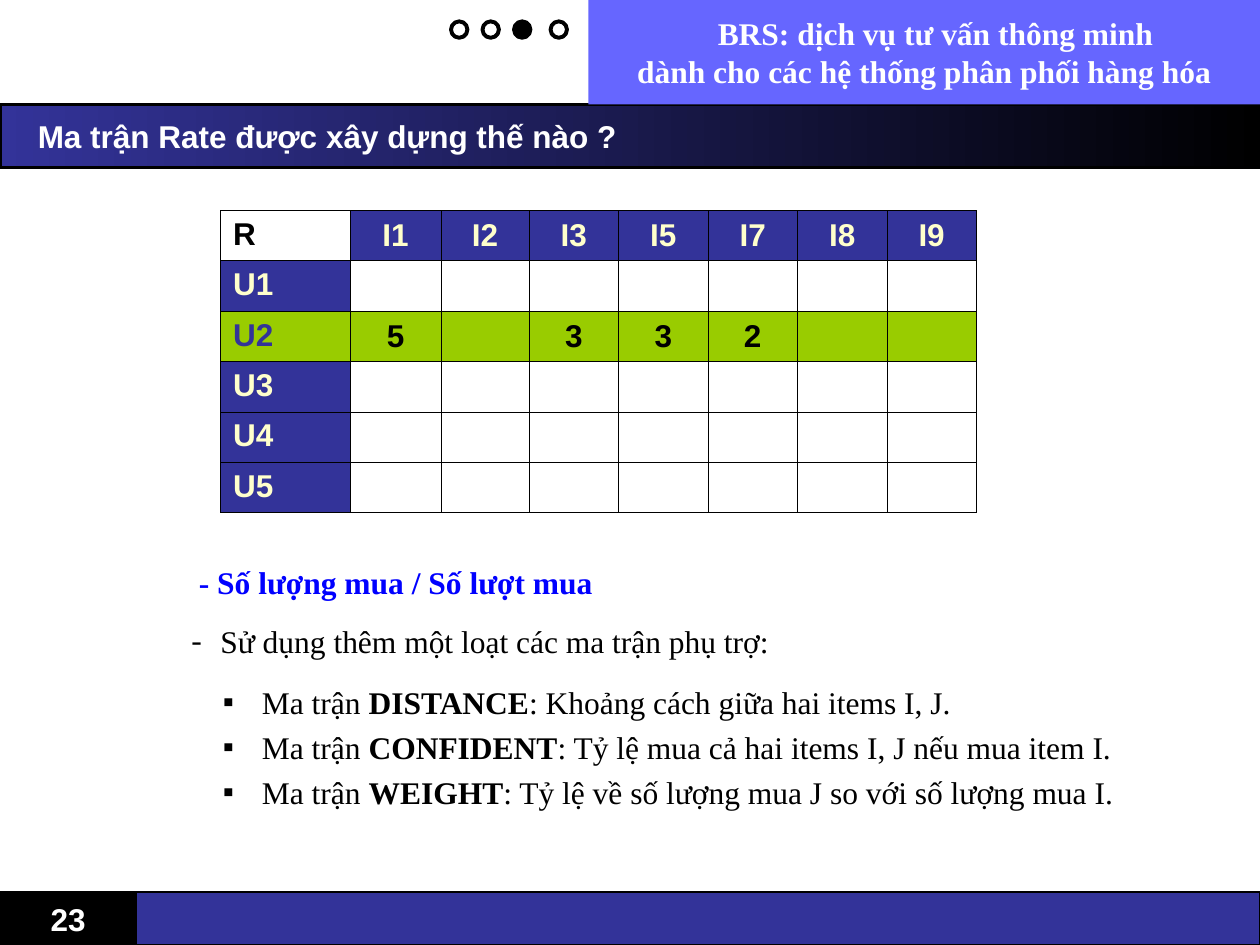
from dataclasses import dataclass
from typing import Optional

from lxml.etree import SubElement
from pptx import Presentation
from pptx.dml.color import RGBColor
from pptx.enum.shapes import MSO_SHAPE
from pptx.enum.text import MSO_ANCHOR, MSO_AUTO_SIZE, PP_ALIGN
from pptx.oxml.ns import qn
from pptx.util import Inches, Pt


@dataclass(frozen=True)
class Theme:
    black: str = "000000"
    white: str = "FFFFFF"
    navy: str = "333399"
    violet: str = "6666FF"
    cream: str = "FFFFCC"
    green: str = "99CC00"
    blue: str = "0000FF"
    sans: str = "Arial"
    serif: str = "Times New Roman"
    size: int = 18
    thin: float = 0.75
    thick: float = 2.25
    grid: float = 0.45


@dataclass(frozen=True)
class Item:
    """A bulleted line whose middle part is bold."""
    lead: str
    term: str = ""
    rest: str = ""
    bullet: str = "▪"
    margin: float = 0.56
    hang: float = 0.31
    spacing: float = 1.2


T = Theme()
COLUMNS = ["I1", "I2", "I3", "I5", "I7", "I8", "I9"]
USERS = ["U1", "U2", "U3", "U4", "U5"]
RATED_USER = "U2"
RATINGS = {"I1": "5", "I3": "3", "I5": "3", "I7": "2"}
COLUMN_WIDTHS = [1.03, 0.72, 0.7] + [0.71] * 5
ROW_HEIGHT = 0.4
DOT_LEFTS = [3.58, 3.83, 4.08, 4.37]
CURRENT_DOT = 2
ITEMS = [
    Item("Sử dụng thêm một loạt các ma trận phụ trợ:", bullet="-", margin=0.23, hang=0.23),
    Item("Ma trận ", "DISTANCE", ": Khoảng cách giữa hai items I, J.", spacing=1.6),
    Item("Ma trận ", "CONFIDENT", ": Tỷ lệ mua cả hai items I, J nếu mua item I."),
    Item("Ma trận ", "WEIGHT", ": Tỷ lệ về số lượng mua J so với số lượng mua I."),
]


def rgb(color: str) -> RGBColor:
    return RGBColor.from_string(color)


def style(p, color: str, face: str, bold: Optional[bool] = True, align=PP_ALIGN.LEFT) -> None:
    p.alignment = align
    p.font.size = Pt(T.size)
    p.font.name = face
    p.font.bold = bold
    p.font.color.rgb = rgb(color)


def add_block(s, left: float, top: float, width: float, height: float,
              fill: Optional[str], line: Optional[float], kind=MSO_SHAPE.RECTANGLE):
    sp = s.shapes.add_shape(kind, Inches(left), Inches(top), Inches(width), Inches(height))
    sp.shadow.inherit = False
    if fill:
        sp.fill.solid()
        sp.fill.fore_color.rgb = rgb(fill)
    else:
        sp.fill.background()
    if line:
        sp.line.color.rgb = rgb(T.black)
        sp.line.width = Pt(line)
    else:
        sp.line.fill.background()
    return sp


def write(sp, lines: list[str], face: str, align=PP_ALIGN.CENTER):
    tf = sp.text_frame
    tf.word_wrap = True
    tf.vertical_anchor = MSO_ANCHOR.MIDDLE
    tf.text = "\n".join(lines)
    for p in tf.paragraphs:
        style(p, T.white, face, align=align)
    return tf


def add_bands(s) -> None:
    write(add_block(s, 0, 7.08, 1.08, 0.42, T.black, T.thin), ["23"], T.sans)
    add_block(s, 1.08, 7.08, 8.92, 0.42, T.navy, T.thin)

    title = add_block(s, 0, 0.83, 10, 0.5, T.navy, T.thick)
    title.fill.gradient()
    title.fill.gradient_angle = 0
    for stop, color, position in zip(title.fill.gradient_stops, (T.navy, T.black), (0, 1)):
        stop.color.rgb = rgb(color)
        stop.position = position
    tf = write(title, ["Ma trận Rate được xây dựng thế nào ?"], T.sans, PP_ALIGN.LEFT)
    tf.margin_left = Inches(0.3)

    header = add_block(s, 4.67, 0, 5.33, 0.83, T.violet, None)
    tf = write(header, ["BRS: dịch vụ tư vấn thông minh",
                        "dành cho các hệ thống phân phối hàng hóa"], T.serif)
    tf.paragraphs[0]._p.get_or_add_pPr().set("marL", str(Inches(0.18)))


def add_dots(s) -> None:
    for i, left in enumerate(DOT_LEFTS):
        fill = T.black if i == CURRENT_DOT else None
        add_block(s, left, 0.17, 0.13, 0.13, fill, T.thick, MSO_SHAPE.OVAL)


def set_cell(cell, text: str, color: str, fill: Optional[str], centred: bool) -> None:
    tc_pr = cell._tc.get_or_add_tcPr()
    for side in ("a:lnL", "a:lnR", "a:lnT", "a:lnB"):
        ln = SubElement(tc_pr, qn(side), w=str(Pt(T.grid)))
        SubElement(SubElement(ln, qn("a:solidFill")), qn("a:srgbClr"), val=T.black)
    if fill:
        cell.fill.solid()
        cell.fill.fore_color.rgb = rgb(fill)
    else:
        cell.fill.background()
    cell.vertical_anchor = MSO_ANCHOR.MIDDLE if centred else MSO_ANCHOR.TOP
    cell.text = text
    style(cell.text_frame.paragraphs[0], color, T.sans,
          align=PP_ALIGN.CENTER if centred else PP_ALIGN.LEFT)


def add_rate_table(s) -> None:
    rows = len(USERS) + 1
    table = s.shapes.add_table(rows, len(COLUMN_WIDTHS), Inches(1.75), Inches(1.67),
                               Inches(6), Inches(ROW_HEIGHT * rows)).table
    table.first_row = table.horz_banding = False
    for column, width in zip(table.columns, COLUMN_WIDTHS):
        column.width = Inches(width)
    for row in table.rows:
        row.height = Inches(ROW_HEIGHT)

    set_cell(table.cell(0, 0), "R", T.black, None, False)
    for c, name in enumerate(COLUMNS, 1):
        set_cell(table.cell(0, c), name, T.cream, T.navy, True)
    for r, user in enumerate(USERS, 1):
        rated = user == RATED_USER
        set_cell(table.cell(r, 0), user, T.navy if rated else T.cream,
                 T.green if rated else T.navy, False)
        for c, name in enumerate(COLUMNS, 1):
            set_cell(table.cell(r, c), RATINGS.get(name, "") if rated else "",
                     T.black, T.green if rated else None, True)


def add_text(s, left: float, top: float, width: float, height: float):
    tf = s.shapes.add_textbox(Inches(left), Inches(top), Inches(width), Inches(height)).text_frame
    tf.word_wrap = True
    tf.auto_size = MSO_AUTO_SIZE.SHAPE_TO_FIT_TEXT
    return tf


def add_item(p, item: Item) -> None:
    p.line_spacing = item.spacing
    p_pr = p._p.get_or_add_pPr()
    p_pr.set("marL", str(Inches(item.margin)))
    p_pr.set("indent", str(-Inches(item.hang)))
    SubElement(SubElement(p_pr, qn("a:buClr")), qn("a:srgbClr"), val=T.black)
    SubElement(p_pr, qn("a:buFont"), typeface=T.serif)
    SubElement(p_pr, qn("a:buChar"), char=item.bullet)
    style(p, T.black, T.serif, bold=None)
    for text, bold in ((item.lead, False), (item.term, True), (item.rest, False)):
        if text:
            r = p.add_run()
            r.text = text
            r.font.bold = bold


def add_notes_below_table(s) -> None:
    p = add_text(s, 1.48, 4.42, 3.6, 0.4).paragraphs[0]
    p.text = "- Số lượng mua / Số lượt mua"
    style(p, T.blue, T.serif)
    tf = add_text(s, 1.42, 4.83, 8.25, 1.66)
    for i, item in enumerate(ITEMS):
        add_item(tf.add_paragraph() if i else tf.paragraphs[0], item)


def main() -> None:
    prs = Presentation()
    prs.slide_width, prs.slide_height = Inches(10), Inches(7.5)
    s = prs.slides.add_slide(prs.slide_layouts[6])
    add_bands(s)
    add_dots(s)
    add_rate_table(s)
    add_notes_below_table(s)
    prs.save("out.pptx")


if __name__ == "__main__":
    main()
